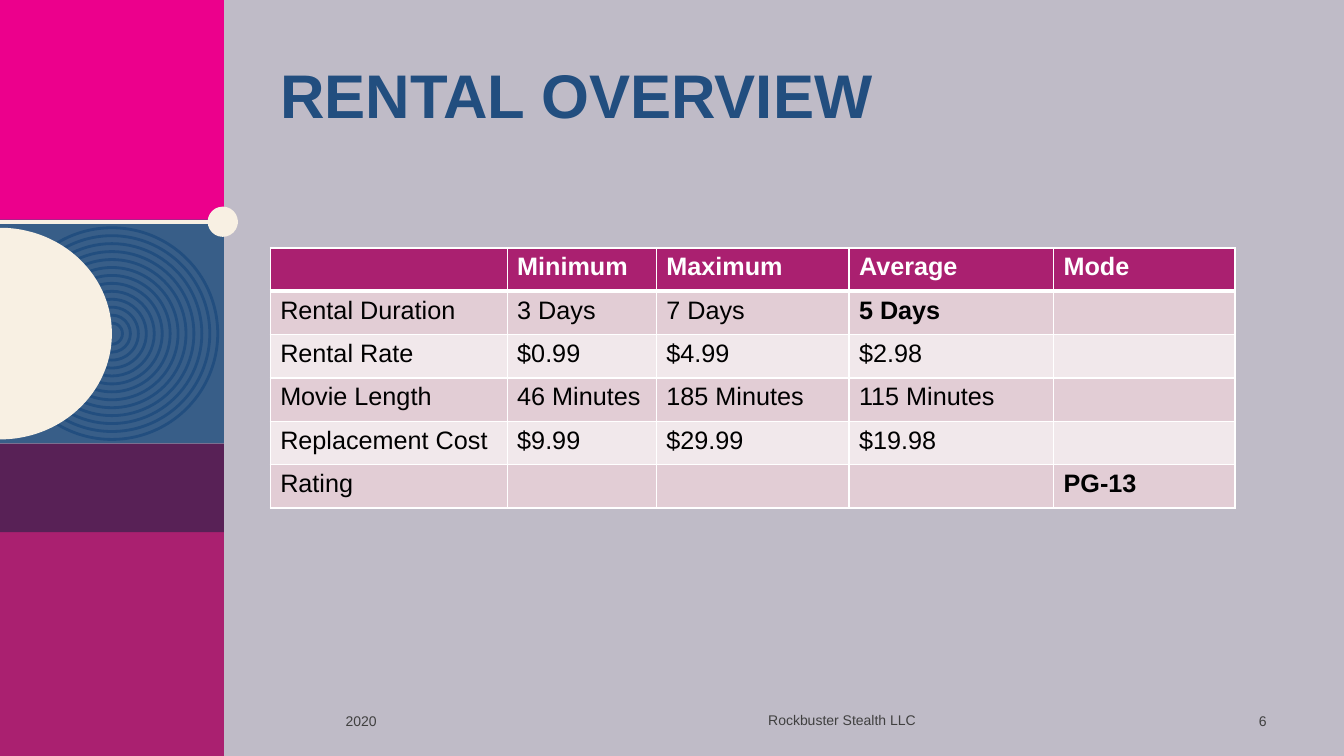
import math

import pptx
import pptx.dml.color
import pptx.enum.shapes
import pptx.enum.text
import pptx.oxml
import pptx.oxml.ns
import pptx.util

Inches = pptx.util.Inches
Pt = pptx.util.Pt
Shape = pptx.enum.shapes.MSO_SHAPE
Align = pptx.enum.text.PP_ALIGN
Anchor = pptx.enum.text.MSO_ANCHOR

FONT = "Arial"
NAVY, CREAM, MAGENTA, WHITE = "224E7F", "F8F0E3", "AA2070", "FFFFFF"
BAND_COLOURS = ("E2CDD5", "F1E8EB")

TITLE = "RENTAL OVERVIEW"
RENTALS = [
    ["", "Minimum", "Maximum", "Average", "Mode"],
    ["Rental Duration", "3 Days", "7 Days", "5 Days", ""],
    ["Rental Rate", "$0.99", "$4.99", "$2.98", ""],
    ["Movie Length", "46 Minutes", "185 Minutes", "115 Minutes", ""],
    ["Replacement Cost", "$9.99", "$29.99", "$19.98", ""],
    ["Rating", "", "", "", "PG-13"],
]
HIGHLIGHTS = {"5 Days", "PG-13"}
COLUMN_WIDTHS = [2.35, 1.48, 1.91, 2.03, 1.8]
ROW_HEIGHT = 0.43
FOOTERS = [  # text, left, top, width, alignment
    ("2020", 3.33, 6.95, 1.2, Align.LEFT),
    ("Rockbuster Stealth LLC", 7.1, 6.94, 2.5, Align.CENTER),
    ("6", 12.16, 6.95, 0.5, Align.RIGHT),
]

SIDEBAR_WIDTH = 2.22
SIDEBAR_BLOCKS = [  # top, height, colour
    (0, 2.22, "EC008C"),
    (5.28, 2.22, MAGENTA),
    (2.18, 2.22, "385E88"),
    (4.4, 0.88, "582156"),
]
DISC_X, DISC_Y = 1.11, 3.31
RING_COUNT, RING_LARGEST, RING_SMALLEST = 13, 2.1, 0.21
DIVIDER_Y, DOT_SIZE, DOT_RIGHT = 2.2, 0.3, 2.36


def colour(hex_string):
    return pptx.dml.color.RGBColor.from_string(hex_string)


def add_text(para, text, size, hex_string, bold=False):
    span = para.add_run()
    span.text = text
    span.font.name = FONT
    span.font.size = Pt(size)
    span.font.bold = bold
    span.font.color.rgb = colour(hex_string)


def paint(shape, fill):
    """Give a solid fill without outline or shadow."""
    shape.shadow.inherit = False
    shape.fill.solid()
    shape.fill.fore_color.rgb = colour(fill)
    shape.line.fill.background()


def add_ring(page, diameter):
    ring = page.shapes.add_shape(
        Shape.OVAL, Inches(DISC_X - diameter / 2), Inches(DISC_Y - diameter / 2),
        Inches(diameter), Inches(diameter))
    ring.shadow.inherit = False
    ring.fill.background()
    ring.line.color.rgb = colour(NAVY)
    ring.line.width = Pt(2)


def add_half_disc(page):
    steps = 90
    angles = [math.pi * (step / steps - 0.5) for step in range(steps + 1)]
    points = [(Inches(DISC_X * math.cos(angle)),
               Inches(DISC_Y + RING_LARGEST / 2 * math.sin(angle))) for angle in angles]
    builder = page.shapes.build_freeform(*points[0], scale=1.0)
    builder.add_line_segments(points[1:], close=True)
    paint(builder.convert_to_shape(), CREAM)


def add_sidebar(page):
    for top, height, fill in SIDEBAR_BLOCKS:
        paint(page.shapes.add_shape(Shape.RECTANGLE, 0, Inches(top),
                                    Inches(SIDEBAR_WIDTH), Inches(height)), fill)
    ring_step = (RING_LARGEST - RING_SMALLEST) / (RING_COUNT - 1)
    for index in range(RING_COUNT):
        add_ring(page, RING_LARGEST - index * ring_step)
    add_half_disc(page)

    divider = page.shapes.add_connector(
        pptx.enum.shapes.MSO_CONNECTOR.STRAIGHT,
        0, Inches(DIVIDER_Y), Inches(DOT_RIGHT), Inches(DIVIDER_Y))
    divider.line.color.rgb = colour(CREAM)
    divider.line.width = Pt(3)
    properties = divider._element.spPr
    properties.append(pptx.oxml.parse_xml(
        f'<a:effectLst {pptx.oxml.ns.nsdecls("a")}/>'))
    paint(page.shapes.add_shape(
        Shape.OVAL, Inches(DOT_RIGHT - DOT_SIZE), Inches(DIVIDER_Y - DOT_SIZE / 2),
        Inches(DOT_SIZE), Inches(DOT_SIZE)), CREAM)


def add_title(page):
    title = page.shapes.title
    title.left, title.top = Inches(2.68), Inches(0.6)
    title.width, title.height = Inches(9), Inches(1.45)
    title.text_frame.vertical_anchor = Anchor.TOP
    title.text_frame.word_wrap = True
    para = title.text_frame.paragraphs[0]
    para.alignment = Align.LEFT
    para.line_spacing = 0.9
    add_text(para, TITLE, 44, NAVY, bold=True)


def add_footers(page):
    for text, left, top, width, alignment in FOOTERS:
        box = page.shapes.add_textbox(Inches(left), Inches(top), Inches(width), Inches(0.4))
        box.text_frame.word_wrap = True
        box.text_frame.vertical_anchor = Anchor.MIDDLE
        para = box.text_frame.paragraphs[0]
        para.alignment = alignment
        add_text(para, text, 10, "404040")


def set_borders(cell, top, bottom):
    """Draw white borders; top and bottom are widths in points."""
    properties = cell._tc.get_or_add_tcPr()
    for side, width in (("L", 1), ("R", 1), ("T", top), ("B", bottom)):
        properties.append(pptx.oxml.parse_xml(
            f'<a:ln{side} {pptx.oxml.ns.nsdecls("a")} w="{Pt(width)}">'
            f'<a:solidFill><a:srgbClr val="{WHITE}"/></a:solidFill></a:ln{side}>'))


def add_rental_table(page):
    table = page.shapes.add_table(
        len(RENTALS), len(COLUMN_WIDTHS), Inches(2.68), Inches(2.46),
        Inches(sum(COLUMN_WIDTHS)), Inches(ROW_HEIGHT * len(RENTALS))).table
    for column, width in zip(table.columns, COLUMN_WIDTHS):
        column.width = Inches(width)
    for row_index, values in enumerate(RENTALS):
        table.rows[row_index].height = Inches(ROW_HEIGHT)
        header = row_index == 0
        fill = MAGENTA if header else BAND_COLOURS[(row_index - 1) % 2]
        for column_index, value in enumerate(values):
            cell = table.cell(row_index, column_index)
            set_borders(cell, top=3 if row_index == 1 else 1, bottom=3 if header else 1)
            cell.fill.solid()
            cell.fill.fore_color.rgb = colour(fill)
            if value:
                add_text(cell.text_frame.paragraphs[0], value, 18,
                         WHITE if header else "000000",
                         bold=header or value in HIGHLIGHTS)


def main():
    deck = pptx.Presentation()
    deck.slide_width, deck.slide_height = Inches(13.33), Inches(7.5)
    page = deck.slides.add_slide(deck.slide_layouts[5])
    page.background.fill.solid()
    page.background.fill.fore_color.rgb = colour("BFBBC7")
    add_sidebar(page)
    add_title(page)
    add_footers(page)
    add_rental_table(page)
    deck.save("out.pptx")


if __name__ == "__main__":
    main()
